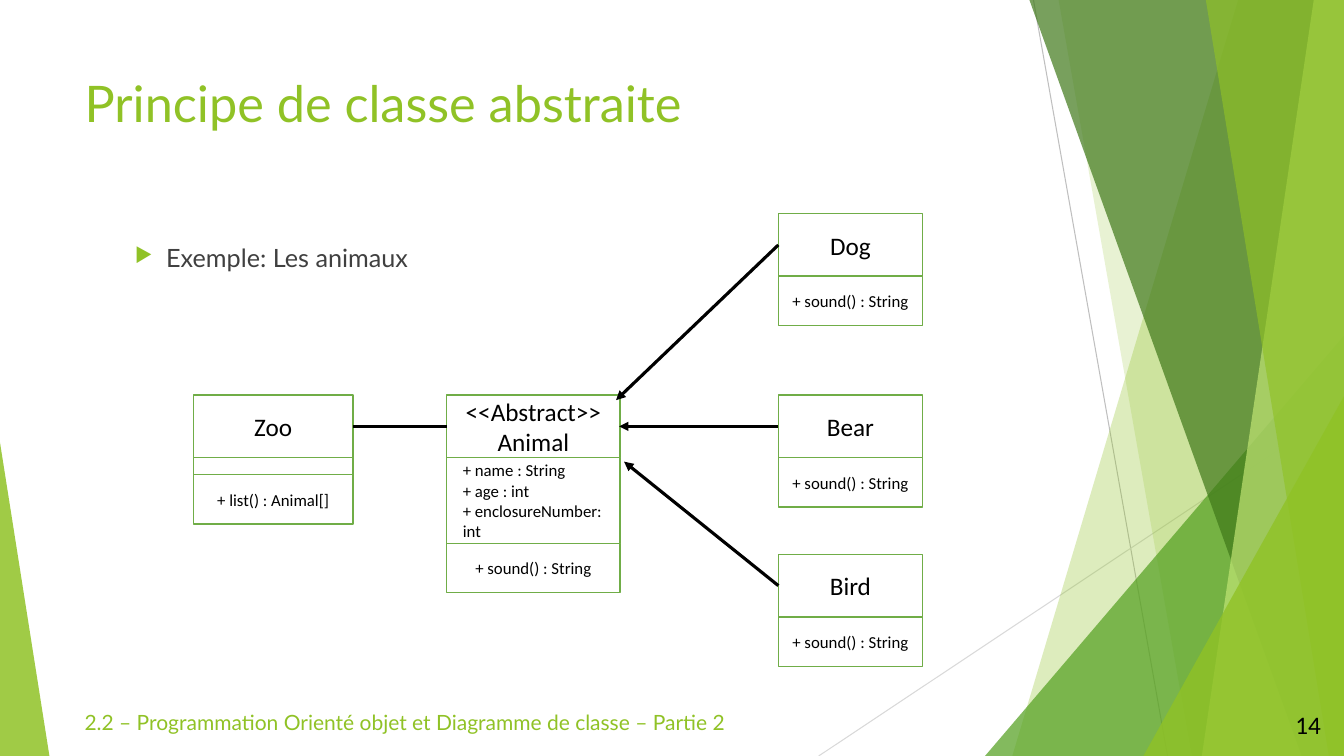
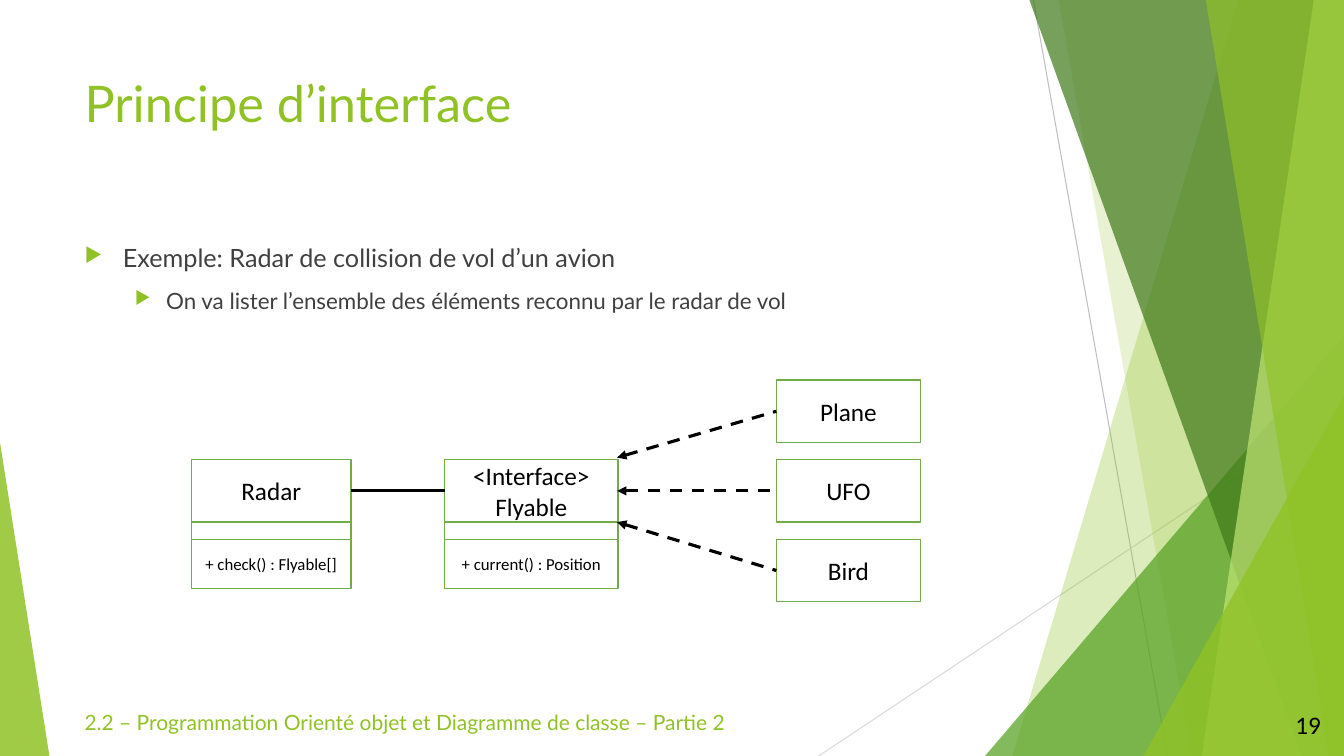
from lxml.etree import SubElement
from pptx import Presentation
from pptx.dml.color import RGBColor
from pptx.enum.dml import MSO_LINE as DASH
from pptx.enum.shapes import MSO_CONNECTOR as WIRE, MSO_SHAPE as SHAPE
from pptx.enum.text import MSO_ANCHOR as ANCHOR, PP_ALIGN as ALIGN
from pptx.oxml.ns import qn
from pptx.util import Inches, Pt

LIME = RGBColor(0x90, 0xC2, 0x26)
LEAF = RGBColor(0x54, 0xA0, 0x21)
MOSS = RGBColor(0x3F, 0x78, 0x19)
PALE = RGBColor(0xC0, 0xE4, 0x74)
EDGE = RGBColor(0x70, 0xAD, 0x47)
GREY = RGBColor(0x40, 0x40, 0x40)
ASH = RGBColor(0xBF, 0xBF, 0xBF)
MIST = RGBColor(0xD9, 0xD9, 0xD9)
BLACK = RGBColor(0, 0, 0)
WHITE = RGBColor(0xFF, 0xFF, 0xFF)

deck = Presentation()
deck.slide_width, deck.slide_height = Inches(13.33), Inches(7.5)
WIDE, HIGH = 13.33, 7.5
COL, ROW = deck.slide_width / WIDE, deck.slide_height / HIGH

MID = {"vertical_anchor": ANCHOR.MIDDLE}
TITLE = {"font": {"name": "Lato", "size": Pt(36)}, "ink": LIME}
FOOT = {"font": {"name": "Lato", "size": Pt(15)}, "ink": LIME}
PAGE = {"font": {"name": "Calibri", "size": Pt(18)}, "ink": BLACK,
        "frame": MID, "par": {"alignment": ALIGN.RIGHT}}
NAME = {**PAGE, "par": {"alignment": ALIGN.CENTER}, "high": 0.62}
CALL = {**NAME, "font": {"name": "Calibri", "size": Pt(12)}, "high": 0.49}
SLOT = {**CALL, "high": 0.17}
DATA = {**CALL, "par": {"alignment": ALIGN.LEFT}, "high": 0.85,
        "frame": {**MID, "margin_left": Inches(0.16)}}
BODY = {"font": {"name": "Lato", "size": Pt(18)}, "ink": GREY,
        "par": {"space_before": Pt(10)}}
LEVELS = [(0.38, 0.38), (0.81, 0.31)]

FACETS = [
    (LIME, 30, [(12.28, 0), (WIDE, 0), (WIDE, HIGH), (10.04, HIGH)]),
    (LIME, 20, [(10.5, 0), (WIDE, 0), (WIDE, HIGH), (11.82, HIGH)]),
    (LEAF, 72, [(9.77, HIGH), (WIDE, 3.33), (WIDE, HIGH)]),
    (MOSS, 70, [(10.21, 0), (WIDE, 0), (WIDE, HIGH), (12.91, HIGH)]),
    (PALE, 70, [(13.03, 0), (WIDE, 0), (WIDE, HIGH), (11.92, HIGH)]),
    (LIME, 65, [(11.96, 0), (WIDE, 0), (WIDE, HIGH), (13.18, HIGH)]),
    (LIME, 80, [(11.34, HIGH), (WIDE, 3.93), (WIDE, HIGH)]),
    (LIME, 85, [(0, HIGH), (0, 4.39), (0.49, HIGH)]),
]
RAYS = [(10.25, 0, 11.58, HIGH, ASH), (WIDE, 4.03, 8.12, HIGH, MIST)]
FOOTER = "2.2 – Programmation Orienté objet et Diagramme de classe – Partie 2"
SOUND = (CALL, ["+ sound() : String"])

SLIDES = [
    {"title": "Principe de classe abstraite", "page": "14", "dash": DASH.SOLID,
     "body": [(1, 18, "Exemple: Les animaux")],
     "left": 1.92, "top": 3.92,
     "user": [(NAME, ["Zoo"]), (SLOT, []), (CALL, ["+ list() : Animal[]"])],
     "base": [(NAME, ["<<Abstract>>", "Animal"]),
              (DATA, ["+ name : String", "+ age : int", "+ enclosureNumber: int"]),
              SOUND],
     "kids": [(2.12, (6.11, 3.97), [(NAME, ["Dog"]), SOUND]),
              (3.92, (6.14, 4.23), [(NAME, ["Bear"]), SOUND]),
              (5.5, (6.19, 4.58), [(NAME, ["Bird"]), SOUND])]},
    {"title": "Principe d’interface", "page": "19", "dash": DASH.DASH,
     "body": [(0, 18, "Exemple: Radar de collision de vol d’un avion"),
              (1, 16, "On va lister l’ensemble des éléments reconnu par le radar de vol")],
     "left": 1.9, "top": 4.56,
     "user": [(NAME, ["Radar"]), (SLOT, []), (CALL, ["+ check() : Flyable[]"])],
     "base": [(NAME, ["<Interface> Flyable"]), (SLOT, []),
              (CALL, ["+ current() : Position"])],
     "kids": [(3.77, (6.12, 4.54), [(NAME, ["Plane"])]),
              (4.56, (6.12, 4.87), [(NAME, ["UFO"])]),
              (5.35, (6.12, 5.18), [(NAME, ["Bird"])])]},
]


def write(shape, lines, look):
    frame = shape.text_frame
    frame.word_wrap = True
    for key, val in look.get("frame", {}).items():
        setattr(frame, key, val)
    for num, line in enumerate(lines):
        par = frame.add_paragraph() if num else frame.paragraphs[0]
        run = par.add_run()
        run.text = line
        run.font.color.rgb = look["ink"]
        for part, kind in ((par, "par"), (run.font, "font")):
            for key, val in look.get(kind, {}).items():
                setattr(part, key, val)
    return frame


def link(shapes, x1, y1, x2, y2, ink, width, dash=DASH.SOLID, head=False):
    wire = shapes.add_connector(WIRE.STRAIGHT, int(x1 * COL), int(y1 * ROW),
                                int(x2 * COL), int(y2 * ROW))
    wire.line.color.rgb = ink
    wire.line.width = Pt(width)
    wire.line.dash_style = dash
    if head:
        SubElement(wire.line._get_or_add_ln(), qn("a:headEnd"), type="triangle")
    SubElement(wire._element.spPr, qn("a:effectLst"))


for data in SLIDES:
    shapes = deck.slides.add_slide(deck.slide_layouts[6]).shapes

    for x1, y1, x2, y2, ink in RAYS:
        link(shapes, x1, y1, x2, y2, ink, 0.75)
    for ink, share, spots in FACETS:
        dots = [(int(x * COL), int(y * ROW)) for x, y in spots]
        pen = shapes.build_freeform(*dots[0])
        pen.add_line_segments(dots[1:], close=True)
        facet = pen.convert_to_shape()
        facet.shadow.inherit = False
        facet.line.fill.background()
        facet.fill.solid()
        facet.fill.fore_color.rgb = ink
        tint = facet._element.spPr.find(".//" + qn("a:srgbClr"))
        SubElement(tint, qn("a:alpha"), val=str(share * 1000))

    texts = [
        (0.74, 0.67, 9.4, 1.44, [data["title"]], TITLE),
        (0.74, 6.99, 7.32, 0.4, [FOOTER], FOOT),
        (12.45, 6.99, 0.75, 0.4, [data["page"]], PAGE),
        (0.74, 2.36, 9.4, 0.84, [text for _, _, text in data["body"]], BODY),
    ]
    for x, y, w, h, lines, look in texts:
        area = shapes.add_textbox(int(x * COL), int(y * ROW), int(w * COL), int(h * ROW))
        frame = write(area, lines, look)

    for par, (level, size, _) in zip(frame.paragraphs, data["body"]):
        par.level = level
        par.runs[0].font.size = Pt(size)
        props = par._p.get_or_add_pPr()
        left, hang = LEVELS[level]
        props.set("marL", str(Inches(left)))
        props.set("indent", str(-Inches(hang)))
        SubElement(SubElement(props, qn("a:buClr")), qn("a:srgbClr"), val=str(LIME))
        SubElement(props, qn("a:buSzPct"), val="80000")
        SubElement(props, qn("a:buChar"), char="▶")

    left, top = data["left"], data["top"]
    base, kid = left + 2.51, left + 5.8
    stacks = [(left, top, 1.58, data["user"]), (base, top, 1.72, data["base"])]
    stacks += [(kid, y, 1.43, rows) for y, _, rows in data["kids"]]
    for x, y, w, rows in stacks:
        for look, lines in rows:
            cell = shapes.add_shape(SHAPE.RECTANGLE, int(x * COL), int(y * ROW),
                                    int(w * COL), int(look["high"] * ROW))
            cell.shadow.inherit = False
            cell.fill.solid()
            cell.fill.fore_color.rgb = WHITE
            cell.line.color.rgb = EDGE
            cell.line.width = Pt(1)
            write(cell, lines, look)
            y += look["high"]

    half = NAME["high"] / 2
    link(shapes, left + 1.58, top + half, base, top + half, BLACK, 2.25)
    for y, (tip, drop), _ in data["kids"]:
        link(shapes, tip, drop, kid, y + half, BLACK, 2.25, data["dash"], True)

deck.save("out.pptx")
